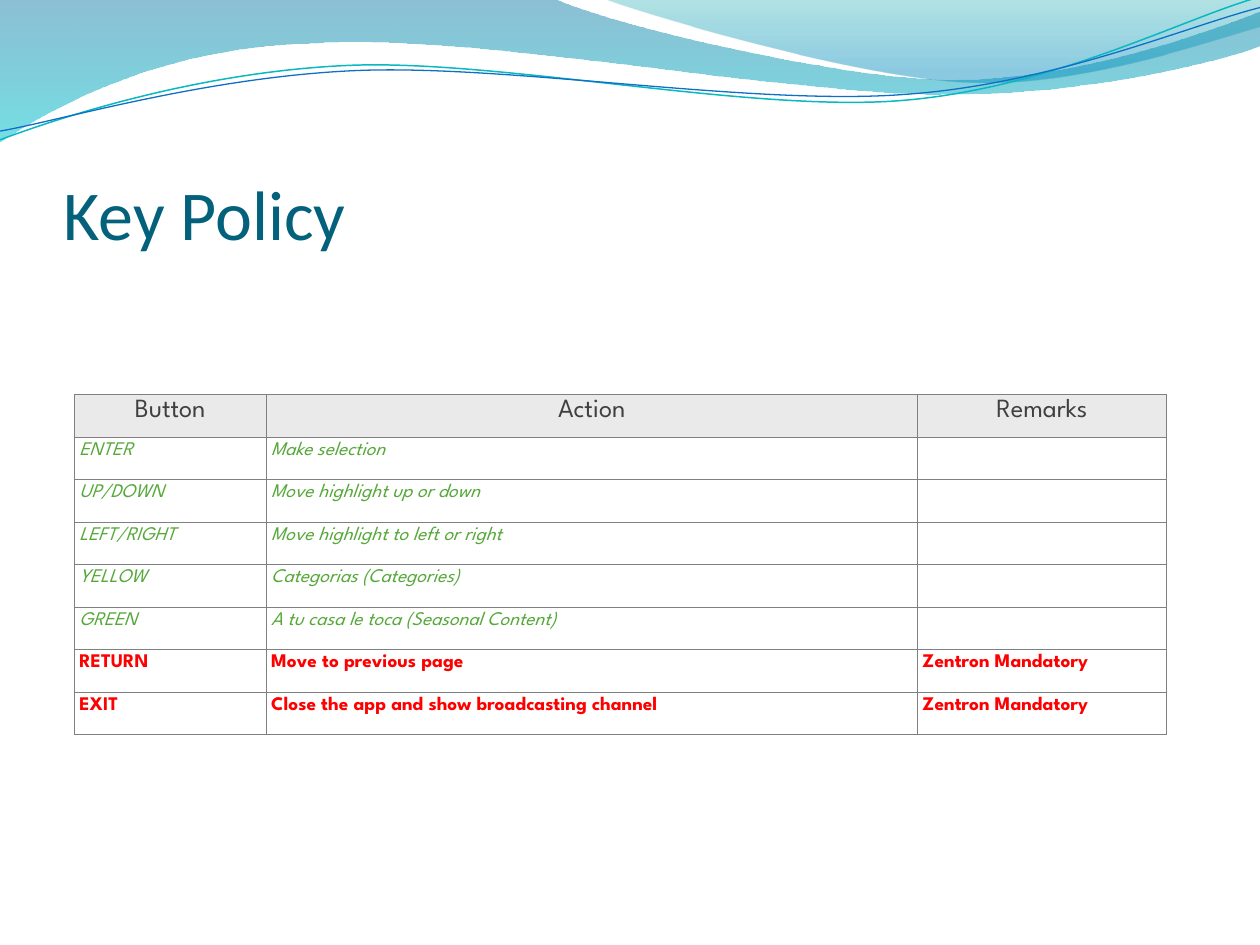
from dataclasses import dataclass
from lxml.etree import SubElement
from pptx import Presentation
from pptx.dml.color import RGBColor
from pptx.enum.text import MSO_ANCHOR, PP_ALIGN
from pptx.oxml.ns import qn
from pptx.util import Pt


@dataclass(frozen=True)
class Theme:
    title_font: str = "Calibri"
    table_font: str = "League Spartan"
    title_size: float = 40
    header_size: float = 15
    body_size: float = 11
    title: str = "04617B"
    header: str = "404040"
    header_fill: str = "EAEAEA"
    body_fill: str = "FFFFFF"
    optional: str = "55A839"
    mandatory: str = "FF0000"
    border: str = "808080"


THEME = Theme()

# Content
TITLE = "Key Policy"
HEADER = ("Button", "Action", "Remarks")
OPTIONAL_KEYS = [
    ("ENTER", "Make selection", ""),
    ("UP/DOWN", "Move highlight up or down", ""),
    ("LEFT/RIGHT", "Move highlight to left or right", ""),
    ("YELLOW", "Categorias (Categories)", ""),
    ("GREEN", "A tu casa le toca (Seasonal Content)", ""),
]
MANDATORY_KEYS = [
    ("RETURN", "Move to previous page", "Zentron Mandatory"),
    ("EXIT", "Close the app and show broadcasting channel", "Zentron Mandatory"),
]
COLUMN_WIDTHS = (109.6, 372.2, 142.2)
SPACER_HEIGHT, ROW_HEIGHT = 28.8, 24.3

# Waves: a start point, then segments of one point (line) or three (Bezier curve)
# Gradient stops: position, colour, opacity in percent
BANDS = [
    ([(0, 0), [(316.8, -0.7)],
      [(342.7, 12.2), (478.1, 45.4), (545.8, 45.4)],
      [(614.2, 45.4), (689.8, 18.7), (720, 6.5)],
      [(720.7, 25.9)],
      [(707.8, 31.7), (626.4, 54.7), (537.1, 54)],
      [(447.8, 54), (275, 20.2), (185, 24.5)],
      [(92.9, 25.9), (33.1, 59.8), (-0.7, 81.4)],
      [(0, 0)]],
     [(0, "0074A1", 45), (1, "00C6CF", 55)]),
    ([(344.9, -0.7),
      [(366.5, 7.9), (491, 44.6), (553.7, 46.8)],
      [(616.3, 49.7), (691.9, 23), (720, 15.1)],
      [(720, 0)],
      [(344.9, -0.7)]],
     [(0, "00A1A9", 30), (0.8, "008BBF", 45)]),
]
STRANDS = [
    ([(0, 79.9),
      [(34.6, 67), (113.8, 41), (199.4, 37.4)],
      [(284.4, 33.8), (427, 64.1), (513.4, 57.6)],
      [(599.8, 51.1), (675.4, 10.8), (718.6, -1.4)]], "0AB8BF", 0.85),
    ([(0, 74.9),
      [(33.8, 69.1), (118.1, 43.9), (203.8, 40.3)],
      [(290.2, 36.7), (429.8, 60.5), (516.2, 54)],
      [(601.9, 48.2), (677.5, 15.1), (720, 4.3)]], "0F6FC6", 0.75),
]


def rgb(code):
    return RGBColor.from_string(code)


def add_wave(slide, wave, close):
    """Draw a wave through its points, then bend each triple into a curve."""
    (x, y), *segments = wave
    builder = slide.shapes.build_freeform(Pt(x), Pt(y))
    builder.add_line_segments(
        [(Pt(x), Pt(y)) for segment in segments for x, y in segment], close=close)
    shape = builder.convert_to_shape()
    shape.shadow.inherit = False
    steps = iter(list(shape._element.iter(qn("a:lnTo"))))
    for segment in segments:
        first, *others = [next(steps) for _ in segment]
        if others:
            first.tag = qn("a:cubicBezTo")
        for other in others:
            first.append(other[0])
            other.getparent().remove(other)
    return shape


def style_run(run, font, size, color, bold=False, italic=False):
    run.font.name, run.font.size = font, Pt(size)
    run.font.bold, run.font.italic = bold, italic
    run.font.color.rgb = rgb(color)


def add_borders(cell, sides):
    properties = cell._tc.get_or_add_tcPr()
    for index, side in enumerate(sides):
        line = properties.makeelement(qn(f"a:{side}"), {"w": str(Pt(0.25))})
        fill = SubElement(line, qn("a:solidFill"))
        SubElement(fill, qn("a:srgbClr"), val=THEME.border)
        properties.insert(index, line)


def fill_cell(cell, text, size, color, fill, align=PP_ALIGN.LEFT, **emphasis):
    cell.margin_left = cell.margin_right = Pt(2.88)
    cell.margin_top = cell.margin_bottom = Pt(2.88)
    cell.fill.solid()
    cell.fill.fore_color.rgb = rgb(fill)
    paragraph = cell.text_frame.paragraphs[0]
    paragraph.text = text
    paragraph.alignment = align
    space = SubElement(paragraph._p.get_or_add_pPr(), qn("a:spcBef"))
    SubElement(space, qn("a:spcPct"), val="20000")
    for run in paragraph.runs:
        style_run(run, THEME.table_font, size, color, **emphasis)
    if not text:
        SubElement(paragraph._p, qn("a:endParaRPr"), sz=str(size * 100))
    add_borders(cell, ("lnL", "lnR", "lnT", "lnB"))


prs = Presentation()
prs.slide_width, prs.slide_height = Pt(720), Pt(540)
slide = prs.slides.add_slide(prs.slide_layouts[6])

# Wave decoration
for wave, stops in BANDS:
    band = add_wave(slide, wave, close=True)
    band.line.fill.background()
    band.fill.gradient()
    band.fill.gradient_angle = 270
    for stop, (position, color, _) in zip(band.fill.gradient_stops, stops):
        stop.position, stop.color.rgb = position, rgb(color)
    tints = band._element.spPr.iter(qn("a:srgbClr"))
    for tint, (_, _, opacity) in zip(list(tints), stops):
        SubElement(tint, qn("a:alpha"), val=str(opacity * 1000))
for wave, color, width in STRANDS:
    strand = add_wave(slide, wave, close=False)
    strand.fill.background()
    strand.line.color.rgb = rgb(color)
    strand.line.width = Pt(width)

# Title
title = slide.shapes.add_textbox(Pt(36.4), Pt(55.4), Pt(648), Pt(90)).text_frame
title.word_wrap = True
title.vertical_anchor = MSO_ANCHOR.BOTTOM
title.margin_left = title.margin_right = title.margin_bottom = 0
title.margin_top = Pt(3.6)
title.text = TITLE
style_run(title.paragraphs[0].runs[0], THEME.title_font, THEME.title_size, THEME.title)

# Key table: an open spacer row, the header, then the keys
header_style = dict(size=THEME.header_size, color=THEME.header,
                    fill=THEME.header_fill, align=PP_ALIGN.CENTER)
optional_style = dict(size=THEME.body_size, color=THEME.optional,
                      fill=THEME.body_fill, italic=True)
mandatory_style = dict(size=THEME.body_size, color=THEME.mandatory,
                       fill=THEME.body_fill, bold=True)
rows = [(HEADER, header_style)]
rows += [(key, optional_style) for key in OPTIONAL_KEYS]
rows += [(key, mandatory_style) for key in MANDATORY_KEYS]

keys = slide.shapes.add_table(
    len(rows) + 1, len(HEADER), Pt(42.5), Pt(196.5), Pt(sum(COLUMN_WIDTHS)),
    Pt(SPACER_HEIGHT + ROW_HEIGHT * len(rows))).table
keys.first_row = keys.horz_banding = False
for column, width in zip(keys.columns, COLUMN_WIDTHS):
    column.width = Pt(width)
for row in keys.rows:
    row.height = Pt(ROW_HEIGHT)
keys.rows[0].height = Pt(SPACER_HEIGHT)
for cell in keys.rows[0].cells:
    cell.fill.background()
    add_borders(cell, ("lnB",))
for index, (texts, style) in enumerate(rows, start=1):
    for cell, text in zip(keys.rows[index].cells, texts):
        fill_cell(cell, text, **style)

prs.save("out.pptx")
